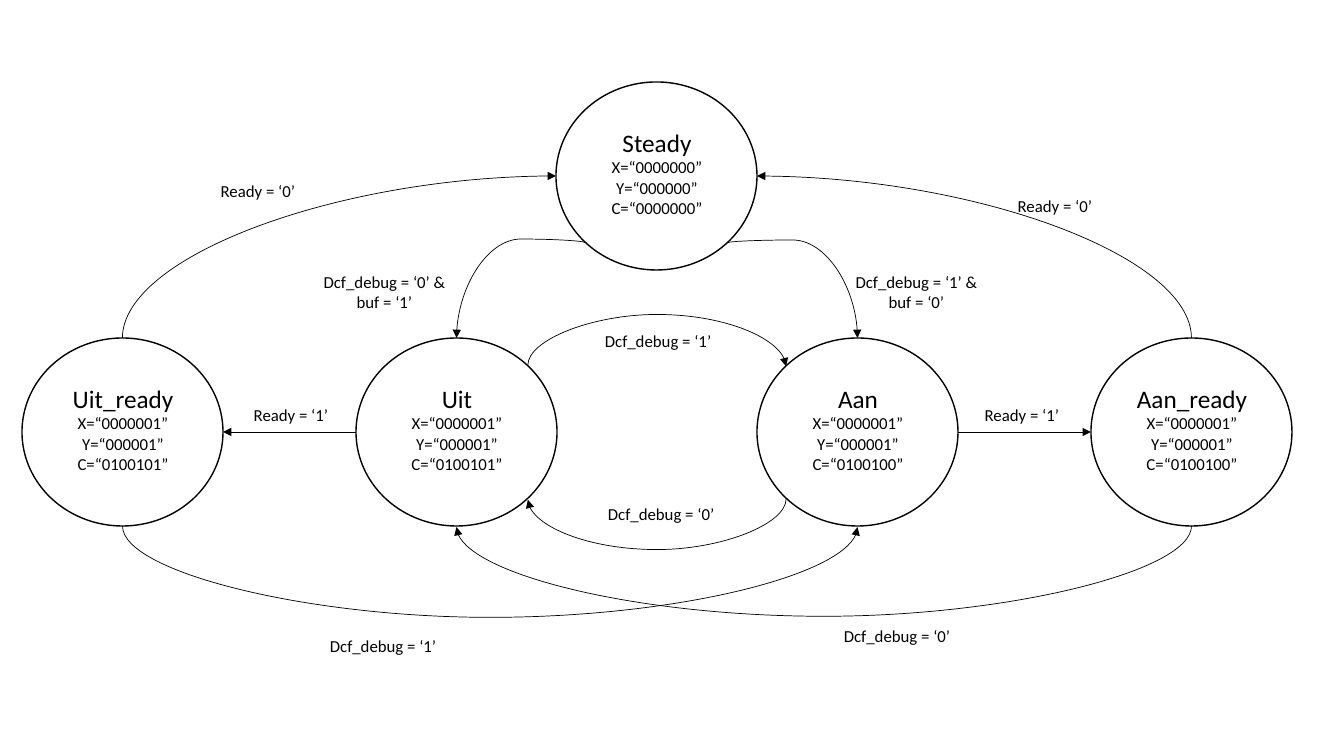
from lxml import etree
from pptx import Presentation
from pptx import util as u
from pptx.dml.color import RGBColor
from pptx.enum import shapes, text
from pptx.oxml import ns

SCALE = 914400 / 100.8
STATE_W, STATE_H = 201, 188
ROW_Y = 338
DIAGONAL = 0.71
TOP, BOTTOM, LEFT, RIGHT = (0, -1), (0, 1), (-1, 0), (1, 0)
LOWER_LEFT, LOWER_RIGHT = (-DIAGONAL, DIAGONAL), (DIAGONAL, DIAGONAL)
UPPER_LEFT, UPPER_RIGHT = (-DIAGONAL, -DIAGONAL), (DIAGONAL, -DIAGONAL)

STATES = {
    "Steady": (556, 82, "0000000", "000000", "0000000"),
    "Aan": (757, ROW_Y, "0000001", "000001", "0100100"),
    "Aan_ready": (1091, ROW_Y, "0000001", "000001", "0100100"),
    "Uit": (356, ROW_Y, "0000001", "000001", "0100101"),
    "Uit_ready": (22, ROW_Y, "0000001", "000001", "0100101"),
}
BENT = [
    ("Steady", LOWER_RIGHT, "Aan", TOP, 240),
    ("Steady", LOWER_LEFT, "Uit", TOP, 239),
    ("Aan", LOWER_LEFT, "Uit", LOWER_RIGHT, 550),
    ("Uit", UPPER_RIGHT, "Aan", UPPER_LEFT, 314),
    ("Aan_ready", BOTTOM, "Uit", BOTTOM, 617),
    ("Uit_ready", BOTTOM, "Aan", BOTTOM, 618),
]
QUARTER = [("Aan_ready", TOP, "Steady", RIGHT), ("Uit_ready", TOP, "Steady", LEFT)]
LEVEL = [("Aan", RIGHT, "Aan_ready", LEFT), ("Uit", LEFT, "Uit_ready", RIGHT)]
CENTRED, FLUSH = text.PP_ALIGN.CENTER, text.PP_ALIGN.LEFT
CONDITIONS = [
    ("Dcf_debug = ‘1’ & buf = ‘0’", (834, 267, 165, 50), CENTRED),
    ("Dcf_debug = ‘0’ & buf = ‘1’", (302, 267, 165, 50), CENTRED),
    ("Dcf_debug = ‘1’", (595, 326, 130, 30), FLUSH),
    ("Dcf_debug = ‘0’", (598, 499, 130, 30), FLUSH),
    ("Ready = ‘1’", (957, 400, 130, 30), CENTRED),
    ("Ready = ‘1’", (226, 400, 130, 30), CENTRED),
    ("Ready = ‘0’", (990, 191, 130, 30), CENTRED),
    ("Ready = ‘0’", (193, 176, 130, 30), CENTRED),
    ("Dcf_debug = ‘0’", (834, 621, 130, 30), FLUSH),
    ("Dcf_debug = ‘1’", (320, 631, 130, 30), FLUSH),
]


def px(*lengths):
    return [u.Emu(round(length * SCALE)) for length in lengths]


def colour(code):
    return RGBColor.from_string(code)


def write(parent, lines, box, sizes=(12,), align=CENTRED):
    frame = parent.add_textbox(*px(*box)).text_frame
    frame.word_wrap = True
    for index, line in enumerate(lines):
        paragraph = frame.add_paragraph() if index else frame.paragraphs[0]
        paragraph.alignment = align
        run = paragraph.add_run()
        run.text = line
        run.font.name = "Calibri"
        run.font.size = u.Pt(sizes[min(index, len(sizes) - 1)])
        run.font.color.rgb = colour("000000")


def draw_state(slide, name, left, top, x, y, c):
    state = slide.shapes.add_group_shape().shapes
    circle = state.add_shape(
        shapes.MSO_SHAPE.OVAL, *px(left, top, STATE_W, STATE_H))
    circle.shadow.inherit = False
    circle.fill.background()
    circle.line.color.rgb = colour("000000")
    circle.line.width = u.Pt(1)
    lines = [name, f"X=“{x}”", f"Y=“{y}”", f"C=“{c}”"]
    write(state, lines, (left + 34, top + 40, 134, 102), sizes=(18, 12))


def site(name, direction):
    left, top = STATES[name][:2]
    return (left + STATE_W / 2 * (1 + direction[0]),
            top + STATE_H / 2 * (1 + direction[1]))


def draw_arrow(slide, start, end):
    arrow = slide.shapes.add_connector(
        shapes.MSO_CONNECTOR.CURVE, *px(*start, *end))
    arrow.line.color.rgb = colour("000000")
    arrow.line.width = u.Pt(0.5)
    etree.SubElement(arrow.line._get_or_add_ln(), ns.qn("a:tailEnd"), type="triangle")
    properties = arrow._element.spPr
    etree.SubElement(properties, ns.qn("a:effectLst"))
    return properties


def draw_upright_arrow(slide, start, end, bend=None):
    across, drop = end[0] - start[0], (end[1] - start[1]) or 1
    middle_x, middle_y = start[0] + across / 2, start[1] + drop / 2
    properties = draw_arrow(
        slide,
        (middle_x - drop / 2, middle_y + across / 2),
        (middle_x + drop / 2, middle_y - across / 2))
    properties.find(ns.qn("a:xfrm")).set("rot", str(90 * 60000))
    geometry = properties.find(ns.qn("a:prstGeom"))
    if bend is None:
        geometry.set("prst", "curvedConnector2")
        return
    share = round((bend - start[1]) / drop * 100000)
    adjustments = geometry.find(ns.qn("a:avLst"))
    etree.SubElement(adjustments, ns.qn("a:gd"), name="adj1", fmla=f"val {share}")


def draw_transitions(slide):
    for source, leave, target, enter, bend in BENT:
        draw_upright_arrow(slide, site(source, leave), site(target, enter), bend)
    for source, leave, target, enter in QUARTER:
        draw_upright_arrow(slide, site(source, leave), site(target, enter))
    for source, leave, target, enter in LEVEL:
        draw_arrow(slide, site(source, leave), site(target, enter))


def draw_conditions(slide):
    for condition, box, align in CONDITIONS:
        write(slide.shapes, [condition], box, align=align)


deck = Presentation()
deck.slide_width, deck.slide_height = px(1344, 756)
diagram = deck.slides.add_slide(deck.slide_layouts[6])
for state_name, details in STATES.items():
    draw_state(diagram, state_name, *details)
draw_transitions(diagram)
draw_conditions(diagram)
deck.save("out.pptx")
